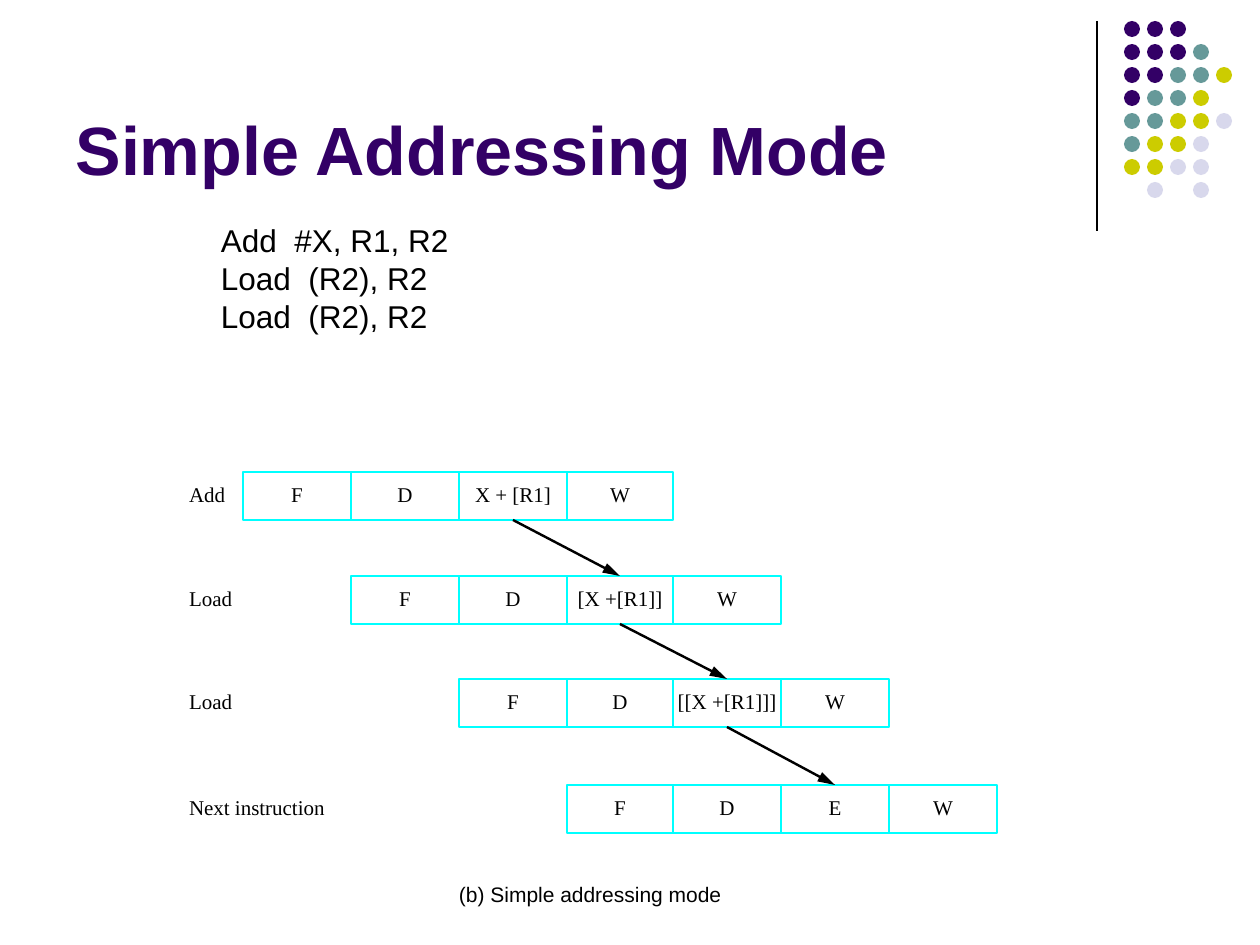
from dataclasses import dataclass

import pptx
import pptx.dml.color
import pptx.enum.shapes
import pptx.enum.text
import pptx.oxml
import pptx.oxml.ns
import pptx.util
from lxml import etree

EMU_PER_PX = 914400 / 126

ALIGN = pptx.enum.text.PP_ALIGN
ANCHOR = pptx.enum.text.MSO_ANCHOR
SHAPE = pptx.enum.shapes.MSO_SHAPE


@dataclass(frozen=True)
class Theme:
    purple: str = "330066"
    teal: str = "669999"
    olive: str = "CCCC00"
    lavender: str = "D8D8EC"
    cyan: str = "00FFFF"
    black: str = "000000"
    sans: str = "Arial"
    serif: str = "Times New Roman"
    title_size: int = 39
    code_size: int = 18
    diagram_size: int = 12
    thin_line: float = 0.75
    diagram_line: float = 1.39


THEME = Theme()

DOT_COLORS = {"P": THEME.purple, "T": THEME.teal,
              "Y": THEME.olive, "L": THEME.lavender}
DOT_ROWS = ["PPP", "PPPT", "PPTTY", "PTTY", "TTYYL", "TYYL", "YYLL", " L L"]
DOT_LEFT, DOT_TOP, DOT_PITCH, DOT_SIZE = 1124, 21, 23, 16

CODE_LINES = ["Add  #X, R1, R2", "Load  (R2), R2", "Load  (R2), R2"]

CLOCK_EDGES = [243, 351, 459, 567, 673, 781, 889, 997]
STAGE_HEIGHT = 48
LABEL_LEFT = 189
# Each instruction: top, name and its four pipeline stages.
INSTRUCTIONS = [
    (472, "Add", ["F", "D", "X + [R1]", "W"]),
    (576, "Load", ["F", "D", "[X +[R1]]", "W"]),
    (679, "Load", ["F", "D", "[[X +[R1]]]", "W"]),
    (785, "Next instruction", ["F", "D", "E", "W"]),
]
EXECUTE = 2


def px(*lengths):
    """Turn pixel lengths into EMU."""
    return [pptx.util.Emu(round(length * EMU_PER_PX)) for length in lengths]


def rgb(color):
    return pptx.dml.color.RGBColor.from_string(color)


def add_run(paragraph, text, font, size, color=THEME.black, bold=False):
    run = paragraph.add_run()
    run.text = text
    run.font.name = font
    run.font.size = pptx.util.Pt(size)
    run.font.color.rgb = rgb(color)
    run.font.bold = bold


def set_insets(frame, left, top, right, bottom):
    (frame.margin_left, frame.margin_top,
     frame.margin_right, frame.margin_bottom) = px(left, top, right, bottom)


def add_title(slide, text):
    title = slide.shapes.title
    title.left, title.top, title.width, title.height = px(63, 16, 1040, 179)
    frame = title.text_frame
    frame.auto_size = pptx.enum.text.MSO_AUTO_SIZE.NONE
    frame.vertical_anchor = ANCHOR.BOTTOM
    paragraph = frame.paragraphs[0]
    paragraph.alignment = ALIGN.LEFT
    add_run(paragraph, text, THEME.sans, THEME.title_size, THEME.purple, bold=True)


def add_text(slide, box, lines, font, size, insets=(0, 0, 0, 0)):
    frame = slide.shapes.add_textbox(*px(*box)).text_frame
    frame.word_wrap = True
    set_insets(frame, *insets)
    for index, line in enumerate(lines):
        paragraph = frame.add_paragraph() if index else frame.paragraphs[0]
        add_run(paragraph, line, font, size)


def add_line(slide, start, end, width):
    line = slide.shapes.add_connector(
        pptx.enum.shapes.MSO_CONNECTOR.STRAIGHT, *px(*start, *end))
    line.line.color.rgb = rgb(THEME.black)
    line.line.width = pptx.util.Pt(width)
    etree.SubElement(line._element.spPr, pptx.oxml.ns.qn("a:effectLst"))
    return line


def add_dots(slide):
    """Draw the corner ornament as one group on an even grid."""
    group = slide.shapes.add_group_shape()
    for row, pattern in enumerate(DOT_ROWS):
        for column, key in enumerate(pattern):
            if key == " ":
                continue
            dot = group.shapes.add_shape(SHAPE.OVAL, *px(
                DOT_LEFT + column * DOT_PITCH, DOT_TOP + row * DOT_PITCH,
                DOT_SIZE, DOT_SIZE))
            dot.shadow.inherit = False
            dot.fill.solid()
            dot.fill.fore_color.rgb = rgb(DOT_COLORS[key])
            dot.line.fill.background()


def add_stage(slide, box, text):
    stage = slide.shapes.add_shape(SHAPE.RECTANGLE, *px(*box))
    stage.shadow.inherit = False
    stage.fill.background()
    stage.line.color.rgb = rgb(THEME.cyan)
    stage.line.width = pptx.util.Pt(THEME.diagram_line)
    frame = stage.text_frame
    frame.word_wrap = False
    frame.vertical_anchor = ANCHOR.MIDDLE
    set_insets(frame, 0, 0, 0, 4)
    frame.paragraphs[0].alignment = ALIGN.CENTER
    add_run(frame.paragraphs[0], text, THEME.serif, THEME.diagram_size)
    return stage


def add_instruction(slide, first_clock, top, name, stage_names):
    """Draw one pipeline row and return its stages."""
    add_text(slide, (LABEL_LEFT, top + 10, 160, 25), [name],
             THEME.serif, THEME.diagram_size)
    edges = CLOCK_EDGES[first_clock:]
    return [add_stage(slide, (left, top, right - left, STAGE_HEIGHT), text)
            for left, right, text in zip(edges, edges[1:], stage_names)]


def add_arrow(slide, source, target):
    """Join the bottom of one stage to the top of another."""
    arrow = add_line(slide, (0, 0), (0, 0), THEME.diagram_line)
    arrow.begin_connect(source, 2)
    arrow.end_connect(target, 0)
    etree.SubElement(arrow.line._get_or_add_ln(), pptx.oxml.ns.qn("a:tailEnd"),
                     type="triangle", w="med", len="lg")


def add_pipeline(slide):
    rows = [add_instruction(slide, clock, *instruction)
            for clock, instruction in enumerate(INSTRUCTIONS)]
    for current, following in zip(rows, rows[1:]):
        add_arrow(slide, current[EXECUTE], following[EXECUTE])


def main():
    presentation = pptx.Presentation()
    presentation.slide_width, presentation.slide_height = px(1260, 945)
    slide = presentation.slides.add_slide(presentation.slide_layouts[5])
    add_line(slide, (1097, 21), (1097, 231), THEME.thin_line)
    add_dots(slide)
    add_title(slide, "Simple Addressing Mode")
    add_pipeline(slide)
    add_text(slide, (459, 882, 290, 25), ["(b) Simple addressing mode"],
             THEME.sans, THEME.diagram_size)
    add_text(slide, (208, 215, 280, 126), CODE_LINES,
             THEME.sans, THEME.code_size, insets=(13, 6, 13, 6))
    presentation.save("out.pptx")


if __name__ == "__main__":
    main()
